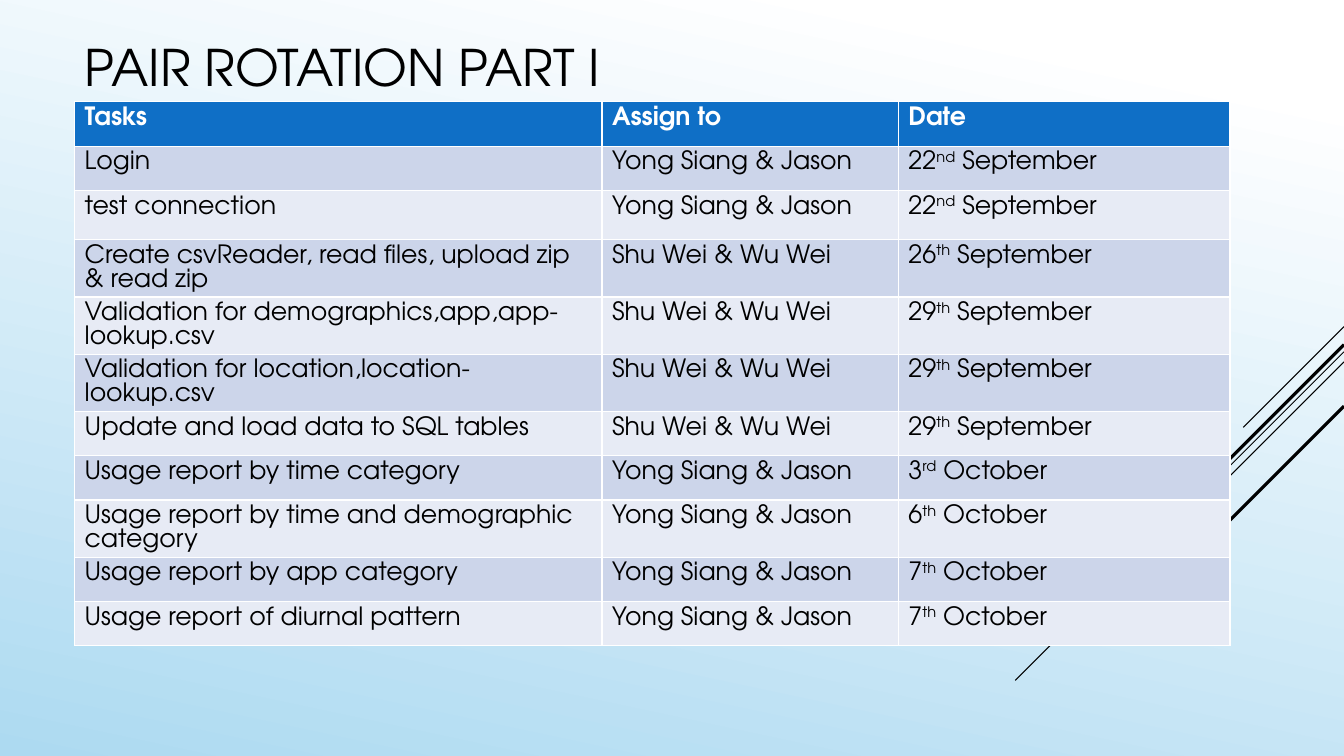
from dataclasses import dataclass

from lxml.etree import SubElement
from pptx import Presentation
from pptx.dml.color import RGBColor
from pptx.enum.shapes import MSO_CONNECTOR
from pptx.enum.text import MSO_ANCHOR, PP_ALIGN
from pptx.oxml.ns import qn
from pptx.slide import Slide
from pptx.table import _Cell
from pptx.text.text import _Paragraph
from pptx.util import Inches, Pt

FONT = "TeX Gyre Adventor"
COLORS = {
    "ink": "000000",
    "white": "FFFFFF",
    "sky": "ADDAF1",
    "header": "0F6FC6",
    "odd_row": "CCD5EA",
    "even_row": "E7EBF5",
}
SLIDE_WIDTH = 13.33
COLUMN_WIDTHS = (5.23, 2.94, 3.29)
ROW_HEIGHT = 0.44
TEST_CONNECTION_ROW = 2
TEST_CONNECTION_HEIGHT = 0.49


@dataclass
class Streak:
    start_y: float
    reach: float
    weight: float


@dataclass
class Assignment:
    task: str
    pair: str
    day: str
    suffix: str
    month: str


STREAKS = (
    Streak(3.24, 1.0, 0.75),
    Streak(3.49, 3.26, 0.75),
    Streak(3.59, 2.07, 0.75),
    Streak(3.42, 1.91, 2.25),
    Streak(4.03, 1.39, 2.25),
)
HEADINGS = ("Tasks", "Assign to", "Date")
YONG_SIANG_JASON = "Yong Siang & Jason"
SHU_WEI_WU_WEI = "Shu Wei & Wu Wei"
ASSIGNMENTS = (
    Assignment("Login", YONG_SIANG_JASON, "22", "nd", "September"),
    Assignment("test connection", YONG_SIANG_JASON, "22", "nd", "September"),
    Assignment("Create csvReader, read files, upload zip & read zip",
               SHU_WEI_WU_WEI, "26", "th", "September"),
    Assignment("Validation for demographics,app,app-lookup.csv",
               SHU_WEI_WU_WEI, "29", "th", "September"),
    Assignment("Validation for location,location-lookup.csv",
               SHU_WEI_WU_WEI, "29", "th", "September"),
    Assignment("Update and load data to SQL tables", SHU_WEI_WU_WEI, "29", "th", "September"),
    Assignment("Usage report by time category", YONG_SIANG_JASON, "3", "rd", "October"),
    Assignment("Usage report by time and demographic category",
               YONG_SIANG_JASON, "6", "th", "October"),
    Assignment("Usage report by app category", YONG_SIANG_JASON, "7", "th", "October"),
    Assignment("Usage report of diurnal pattern", YONG_SIANG_JASON, "7", "th", "October"),
)


def rgb(name: str) -> RGBColor:
    return RGBColor.from_string(COLORS[name])


def add_run(paragraph: _Paragraph, text: str, size: float, color: str,
            bold: bool = False, raised: bool = False) -> None:
    run = paragraph.add_run()
    run.text = text
    run.font.name = FONT
    run.font.size = Pt(size)
    run.font.bold = bold
    run.font.color.rgb = rgb(color)
    if raised:
        run.font._element.set("baseline", "30000")


def paint_background(slide: Slide) -> None:
    fill = slide.background.fill
    fill.gradient()
    fill.gradient_angle = 258
    for stop, (position, color) in zip(fill.gradient_stops, ((0.1, "white"), (1, "sky"))):
        stop.position = position
        stop.color.rgb = rgb(color)


def add_streak(slide: Slide, streak: Streak) -> None:
    line = slide.shapes.add_connector(
        MSO_CONNECTOR.STRAIGHT,
        Inches(SLIDE_WIDTH), Inches(streak.start_y),
        Inches(SLIDE_WIDTH - streak.reach), Inches(streak.start_y + streak.reach))
    line.line.color.rgb = rgb("ink")
    line.line.width = Pt(streak.weight)
    SubElement(line._element.spPr, qn("a:effectLst"))


def write_title(slide: Slide) -> None:
    title = slide.shapes.title
    title.left, title.top = Inches(0.74), Inches(0)
    title.width, title.height = Inches(10.11), Inches(1.31)
    title.text_frame.vertical_anchor = MSO_ANCHOR.MIDDLE
    heading = title.text_frame.paragraphs[0]
    heading.alignment = PP_ALIGN.LEFT
    add_run(heading, "PAIR ROTATION PART I", 36, "ink")


def fill_cell(cell: _Cell, fill: str) -> _Paragraph:
    cell.fill.solid()
    cell.fill.fore_color.rgb = rgb(fill)
    return cell.text_frame.paragraphs[0]


def add_schedule(slide: Slide) -> None:
    row_count = len(ASSIGNMENTS) + 1
    schedule = slide.shapes.add_table(
        row_count, len(HEADINGS), Inches(0.74), Inches(1.01),
        Inches(sum(COLUMN_WIDTHS)), Inches(ROW_HEIGHT * row_count)).table
    for column, width in zip(schedule.columns, COLUMN_WIDTHS):
        column.width = Inches(width)
    for row in schedule.rows:
        row.height = Inches(ROW_HEIGHT)
    schedule.rows[TEST_CONNECTION_ROW].height = Inches(TEST_CONNECTION_HEIGHT)

    for column_index, heading in enumerate(HEADINGS):
        paragraph = fill_cell(schedule.cell(0, column_index), "header")
        add_run(paragraph, heading, 18, "white", bold=True)

    for row_index, item in enumerate(ASSIGNMENTS, start=1):
        band = "odd_row" if row_index % 2 else "even_row"
        task, pair, date = (fill_cell(schedule.cell(row_index, column_index), band)
                            for column_index in range(len(HEADINGS)))
        add_run(task, item.task, 18, "ink")
        add_run(pair, item.pair, 18, "ink")
        add_run(date, item.day, 18, "ink")
        add_run(date, item.suffix, 18, "ink", raised=True)
        add_run(date, f" {item.month}", 18, "ink")


def main() -> None:
    presentation = Presentation()
    presentation.slide_width = Inches(SLIDE_WIDTH)
    presentation.slide_height = Inches(7.5)
    slide = presentation.slides.add_slide(presentation.slide_layouts[5])
    paint_background(slide)
    for streak in STREAKS:
        add_streak(slide, streak)
    write_title(slide)
    add_schedule(slide)
    presentation.save("out.pptx")


if __name__ == "__main__":
    main()
